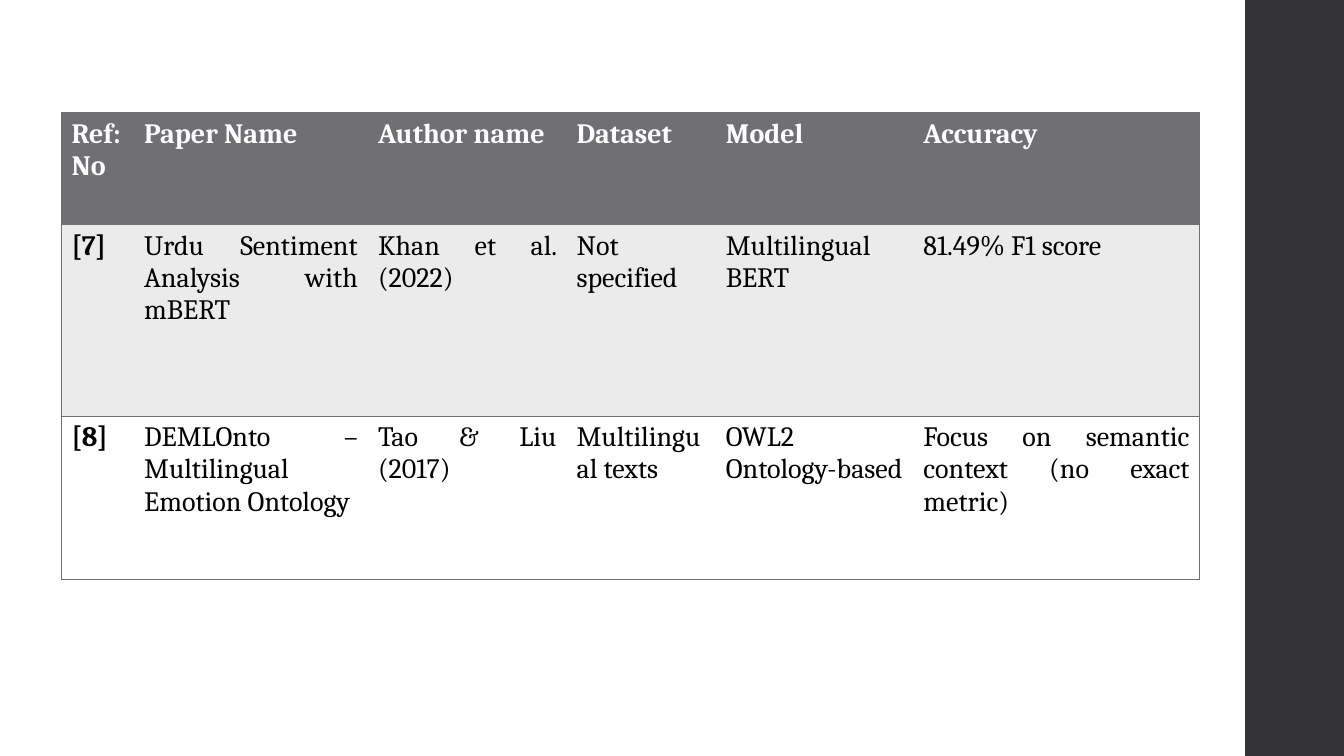
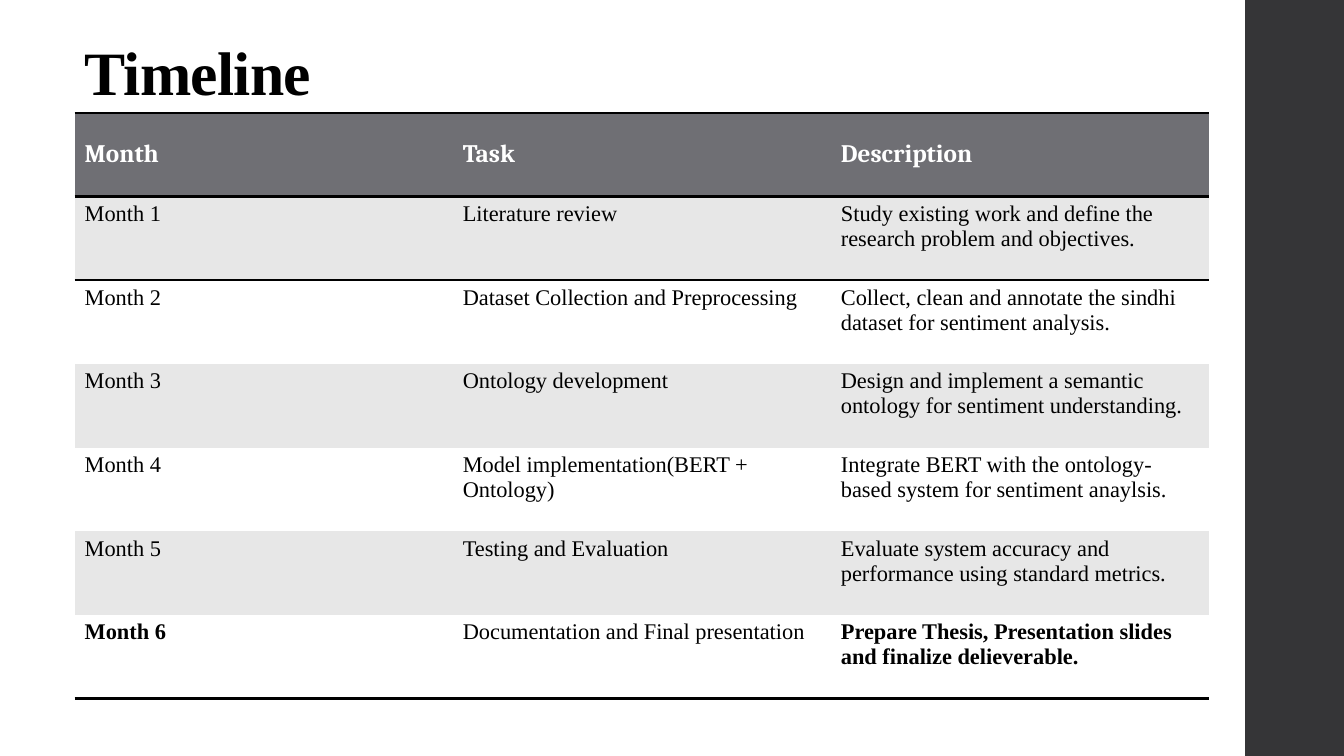
from dataclasses import dataclass

from lxml import etree
from pptx import Presentation
from pptx.dml.color import RGBColor
from pptx.enum.shapes import MSO_SHAPE
from pptx.enum.text import MSO_ANCHOR, PP_ALIGN
from pptx.oxml.ns import qn
from pptx.util import Inches, Pt

RECTANGLE = MSO_SHAPE.RECTANGLE
TOP, MIDDLE, BOTTOM = MSO_ANCHOR.TOP, MSO_ANCHOR.MIDDLE, MSO_ANCHOR.BOTTOM
LEFT, JUSTIFY = PP_ALIGN.LEFT, PP_ALIGN.JUSTIFY

SLIDE_W, SLIDE_H = 13.33, 7.5
BAND_LEFT = 12.35
TABLE_TOP = 1.12
TIMELINE_LEFT = 0.74
SERIF, TIMES = "Cambria", "Times New Roman"
PLAIN_TABLE_STYLE = "{2D5ABB26-0587-4C30-8999-92F81FD0307C}"

COLORS = {
    "band": "353537",
    "header": "6F6F74",
    "paper_stripe": "EBEBEB",
    "month_stripe": "E7E7E7",
    "white": "FFFFFF",
    "black": "000000",
}

PAPERS = [
    ["Ref:\nNo", "Paper Name", "Author name", "Dataset", "Model", "Accuracy"],
    ["[7]", "Urdu Sentiment Analysis with mBERT", "Khan et al. (2022)",
     "Not specified", "Multilingual BERT", "81.49% F1 score"],
    ["[8]", "DEMLOnto – Multilingual Emotion Ontology", "Tao & Liu (2017)",
     "Multilingual texts", "OWL2 Ontology-based",
     "Focus on semantic context (no exact metric)"],
]

TIMELINE = [
    ["Month", "Task", "Description"],
    ["Month 1", "Literature review",
     "Study existing work and define the research problem and objectives."],
    ["Month 2", "Dataset Collection and Preprocessing",
     "Collect, clean and annotate the sindhi dataset for sentiment analysis."],
    ["Month 3", "Ontology development",
     "Design and implement a semantic ontology for sentiment understanding."],
    ["Month 4", "Model implementation(BERT + Ontology)",
     "Integrate BERT with the ontology-based system for sentiment anaylsis."],
    ["Month 5", "Testing and Evaluation",
     "Evaluate system accuracy and performance using standard metrics."],
    ["Month 6", "Documentation and Final presentation",
     "Prepare Thesis, Presentation slides and finalize delieverable."],
]


@dataclass
class TextStyle:
    font: str
    size: int
    color: str = "black"
    bold: bool = False
    align: PP_ALIGN = LEFT
    anchor: MSO_ANCHOR = TOP


PAPER_HEADER = TextStyle(SERIF, 20, "white", True, JUSTIFY)
PAPER_REF = TextStyle(SERIF, 20, bold=True, align=JUSTIFY)
PAPER_BODY = TextStyle(SERIF, 20, align=JUSTIFY)
MONTH_HEADER = TextStyle(SERIF, 18, "white", True, anchor=MIDDLE)
MONTH_BODY = TextStyle(TIMES, 16)
MONTH_FINAL = TextStyle(TIMES, 16, bold=True)
TITLE = TextStyle(TIMES, 44, bold=True, anchor=BOTTOM)


def rgb(name):
    return RGBColor.from_string(COLORS[name])


def write(frame, text, style):
    """Fill a text frame, one paragraph for each line of the text."""
    frame.word_wrap = True
    for index, line in enumerate(text.split("\n")):
        paragraph = frame.add_paragraph() if index else frame.paragraphs[0]
        paragraph.alignment = style.align
        run = paragraph.add_run()
        run.text = line
        run.font.name = style.font
        run.font.size = Pt(style.size)
        run.font.bold = style.bold
        run.font.color.rgb = rgb(style.color)


def add_slide(deck):
    """Add a blank slide with the dark band at its right edge."""
    slide = deck.slides.add_slide(deck.slide_layouts[6])
    band = slide.shapes.add_shape(
        RECTANGLE, Inches(BAND_LEFT), 0,
        Inches(SLIDE_W - BAND_LEFT), Inches(SLIDE_H))
    band.shadow.inherit = False
    band.fill.solid()
    band.fill.fore_color.rgb = rgb("band")
    band.line.fill.background()
    return slide


def add_title(slide, text):
    box = slide.shapes.add_textbox(
        Inches(TIMELINE_LEFT), Inches(0.13), Inches(10.6), Inches(1))
    frame = box.text_frame
    write(frame, text, TITLE)
    frame.vertical_anchor = TITLE.anchor
    heading = frame.paragraphs[0]
    heading.line_spacing = 0.9
    heading.runs[0]._r.get_or_add_rPr().set("spc", "-50")


def set_borders(cell, sides, color, width):
    """Draw the sides given, of L, R, T and B in that order."""
    properties = cell._tc.get_or_add_tcPr()
    for side in sides:
        line = etree.SubElement(properties, qn(f"a:ln{side}"), w=str(Pt(width)))
        fill = etree.SubElement(line, qn("a:solidFill"))
        etree.SubElement(fill, qn("a:srgbClr"), val=COLORS[color])


def add_grid(slide, left, columns, heights, rows, style_of, borders_of,
             stripe, line):
    """Add a striped table; style_of and borders_of take a row and a column."""
    table = slide.shapes.add_table(
        len(rows), len(columns), Inches(left), Inches(TABLE_TOP),
        Inches(sum(columns)), Inches(sum(heights))).table
    table._tbl.tblPr.find(qn("a:tableStyleId")).text = PLAIN_TABLE_STYLE
    for column, width in zip(table.columns, columns):
        column.width = Inches(width)
    for r, (texts, height) in enumerate(zip(rows, heights)):
        table.rows[r].height = Inches(height)
        background = "header" if r == 0 else stripe if r % 2 else "white"
        for c, text in enumerate(texts):
            cell = table.cell(r, c)
            style = style_of(r, c)
            write(cell.text_frame, text, style)
            cell.vertical_anchor = style.anchor
            set_borders(cell, borders_of(r, c), *line)
            cell.fill.solid()
            cell.fill.fore_color.rgb = rgb(background)


def add_papers(slide):
    columns = [0.72, 2.32, 1.97, 1.48, 1.96, 2.84]

    def style_of(r, c):
        if r == 0:
            return PAPER_HEADER
        return PAPER_REF if c == 0 else PAPER_BODY

    def borders_of(r, c):
        return {0: "L", len(columns) - 1: "R"}.get(c, "") + "TB"

    add_grid(slide, 0.61, columns, [1.11, 1.9, 1.62], PAPERS, style_of,
             borders_of, "paper_stripe", ("header", 1))


def add_timeline(slide):
    last = len(TIMELINE) - 1

    def style_of(r, c):
        if r == 0:
            return MONTH_HEADER
        return MONTH_FINAL if r == last and c != 1 else MONTH_BODY

    def borders_of(r, c):
        return {0: "TB", 1: "T", last: "B"}.get(r, "")

    add_grid(slide, TIMELINE_LEFT, [3.75] * 3, [0.83] * len(TIMELINE),
             TIMELINE, style_of, borders_of, "month_stripe", ("black", 2))


def main():
    deck = Presentation()
    deck.slide_width, deck.slide_height = Inches(SLIDE_W), Inches(SLIDE_H)
    add_papers(add_slide(deck))
    timeline_slide = add_slide(deck)
    add_title(timeline_slide, "Timeline")
    add_timeline(timeline_slide)
    deck.save("out.pptx")


if __name__ == "__main__":
    main()
